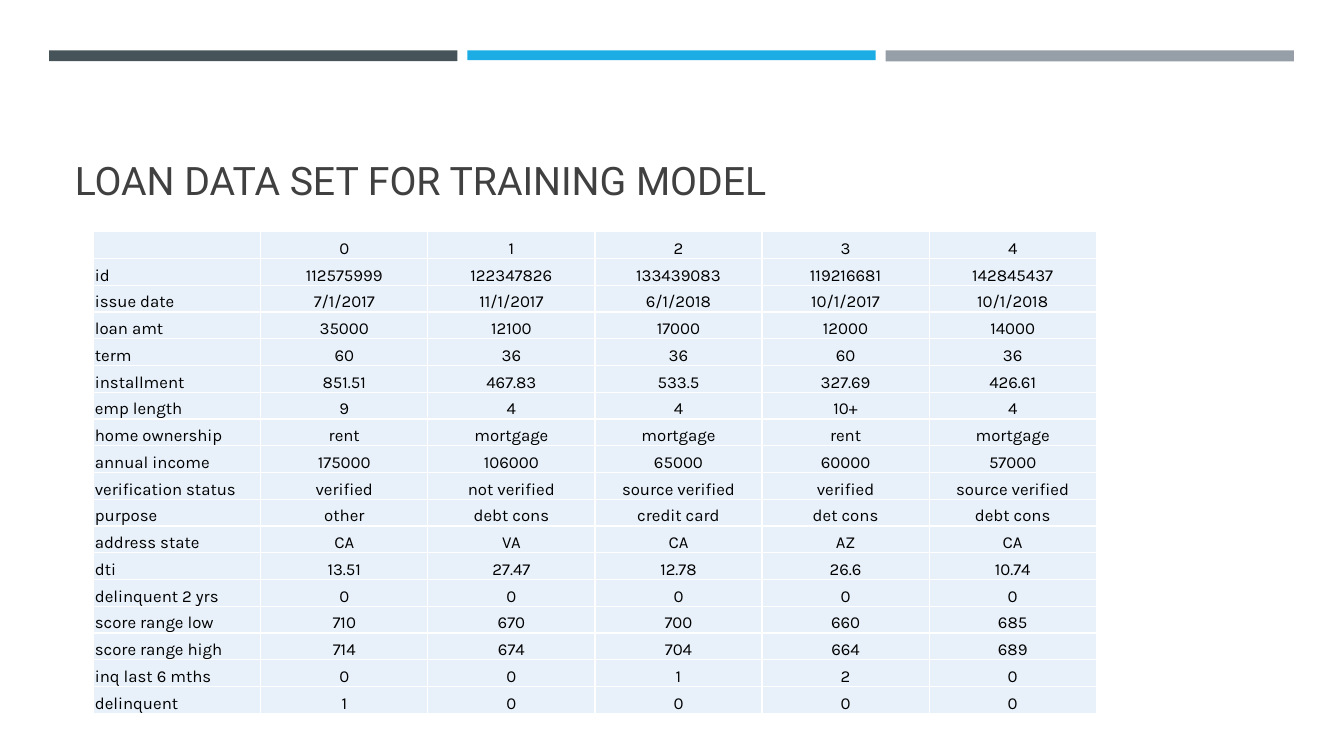
from dataclasses import dataclass

from lxml import etree
from pptx import Presentation
from pptx.dml.color import RGBColor
from pptx.enum.shapes import MSO_SHAPE
from pptx.enum.text import MSO_ANCHOR, MSO_AUTO_SIZE, PP_ALIGN
from pptx.oxml.ns import qn
from pptx.slide import Slide
from pptx.table import _Cell
from pptx.util import Cm, Pt

RECT = MSO_SHAPE.RECTANGLE
BOTTOM = MSO_ANCHOR.BOTTOM
NO_FIT = MSO_AUTO_SIZE.NONE
LEFT, CENTER = PP_ALIGN.LEFT, PP_ALIGN.CENTER

COLORS = {
    "slate": "465359",
    "blue": "1CADE4",
    "gray": "969FA7",
    "title": "404040",
    "text": "000000",
    "cell": "E8F1FA",
    "border": "FFFFFF",
}
TITLE_FONT, TABLE_FONT = "Roboto", "Karla"
TABLE_SIZE = 12
BAR_LEFT, BAR_TOP, BAR_WIDTH, BAR_PITCH = 1.24, 1.27, 10.29, 10.54

LOANS = [
    ["", "0", "1", "2", "3", "4"],
    ["id", "112575999", "122347826", "133439083", "119216681", "142845437"],
    ["issue date", "7/1/2017", "11/1/2017", "6/1/2018", "10/1/2017", "10/1/2018"],
    ["loan amt", "35000", "12100", "17000", "12000", "14000"],
    ["term", "60", "36", "36", "60", "36"],
    ["installment", "851.51", "467.83", "533.5", "327.69", "426.61"],
    ["emp length", "9", "4", "4", "10+", "4"],
    ["home ownership", "rent", "mortgage", "mortgage", "rent", "mortgage"],
    ["annual income", "175000", "106000", "65000", "60000", "57000"],
    ["verification status", "verified", "not verified", "source verified",
     "verified", "source verified"],
    ["purpose", "other", "debt cons", "credit card", "det cons", "debt cons"],
    ["address state", "CA", "VA", "CA", "AZ", "CA"],
    ["dti", "13.51", "27.47", "12.78", "26.6", "10.74"],
    ["delinquent 2 yrs", "0", "0", "0", "0", "0"],
    ["score range low", "710", "670", "700", "660", "685"],
    ["score range high", "714", "674", "704", "664", "689"],
    ["inq last 6 mths", "0", "0", "1", "2", "0"],
    ["delinquent", "1", "0", "0", "0", "0"],
]


@dataclass
class Bar:
    color: str
    height: float


BARS = [Bar("slate", 0.27), Bar("blue", 0.25), Bar("gray", 0.28)]


def rgb(name: str) -> RGBColor:
    return RGBColor.from_string(COLORS[name])


def add_bar(s: Slide, index: int, bar: Bar) -> None:
    left = Cm(BAR_LEFT + index * BAR_PITCH)
    sp = s.shapes.add_shape(RECT, left, Cm(BAR_TOP), Cm(BAR_WIDTH), Cm(bar.height))
    sp.shadow.inherit = False
    sp.fill.solid()
    sp.fill.fore_color.rgb = rgb(bar.color)
    sp.line.fill.background()


def set_title(s: Slide, text: str) -> None:
    sp = s.shapes.title
    sp.left, sp.top, sp.width, sp.height = Cm(1.63), Cm(1.96), Cm(30.63), Cm(3.3)
    tf = sp.text_frame
    tf.vertical_anchor = BOTTOM
    tf.auto_size = NO_FIT
    p = tf.paragraphs[0]
    p.alignment = LEFT
    r = p.add_run()
    r.text = text
    r.font.name, r.font.size = TITLE_FONT, Pt(28)
    r.font.color.rgb = rgb("title")


def add_borders(cell: _Cell) -> None:
    tc_pr = cell._tc.get_or_add_tcPr()
    for side in "LRTB":
        ln = etree.SubElement(tc_pr, qn(f"a:ln{side}"), w=str(Pt(1)))
        fill = etree.SubElement(ln, qn("a:solidFill"))
        etree.SubElement(fill, qn("a:srgbClr"), val=COLORS["border"])


def fill_cell(cell: _Cell, text: str, align: PP_ALIGN) -> None:
    add_borders(cell)
    cell.fill.solid()
    cell.fill.fore_color.rgb = rgb("cell")
    cell.vertical_anchor = BOTTOM
    cell.margin_left = cell.margin_right = cell.margin_top = Cm(0.03)
    cell.margin_bottom = 0
    p = cell.text_frame.paragraphs[0]
    p.alignment = align
    if text:
        r = p.add_run()
        r.text = text
        r.font.name, r.font.size = TABLE_FONT, Pt(TABLE_SIZE)
        r.font.color.rgb = rgb("text")
    else:
        # An empty cell needs its own size, or the row grows to 18 pt text.
        etree.SubElement(p._p, qn("a:endParaRPr"), sz=str(TABLE_SIZE * 100))


def add_loan_table(s: Slide) -> None:
    table = s.shapes.add_table(len(LOANS), len(LOANS[0]), Cm(2.36), Cm(5.84),
                               Cm(25.27), Cm(12.14)).table
    table.first_row = table.horz_banding = False
    for i, row in enumerate(LOANS):
        for j, text in enumerate(row):
            fill_cell(table.cell(i, j), text, CENTER if j else LEFT)


def main() -> None:
    prs = Presentation()
    prs.slide_width, prs.slide_height = Cm(33.87), Cm(19.05)
    s = prs.slides.add_slide(prs.slide_layouts[5])
    for i, bar in enumerate(BARS):
        add_bar(s, i, bar)
    set_title(s, "LOAN DATA SET FOR TRAINING MODEL")
    add_loan_table(s)
    prs.save("out.pptx")


if __name__ == "__main__":
    main()
